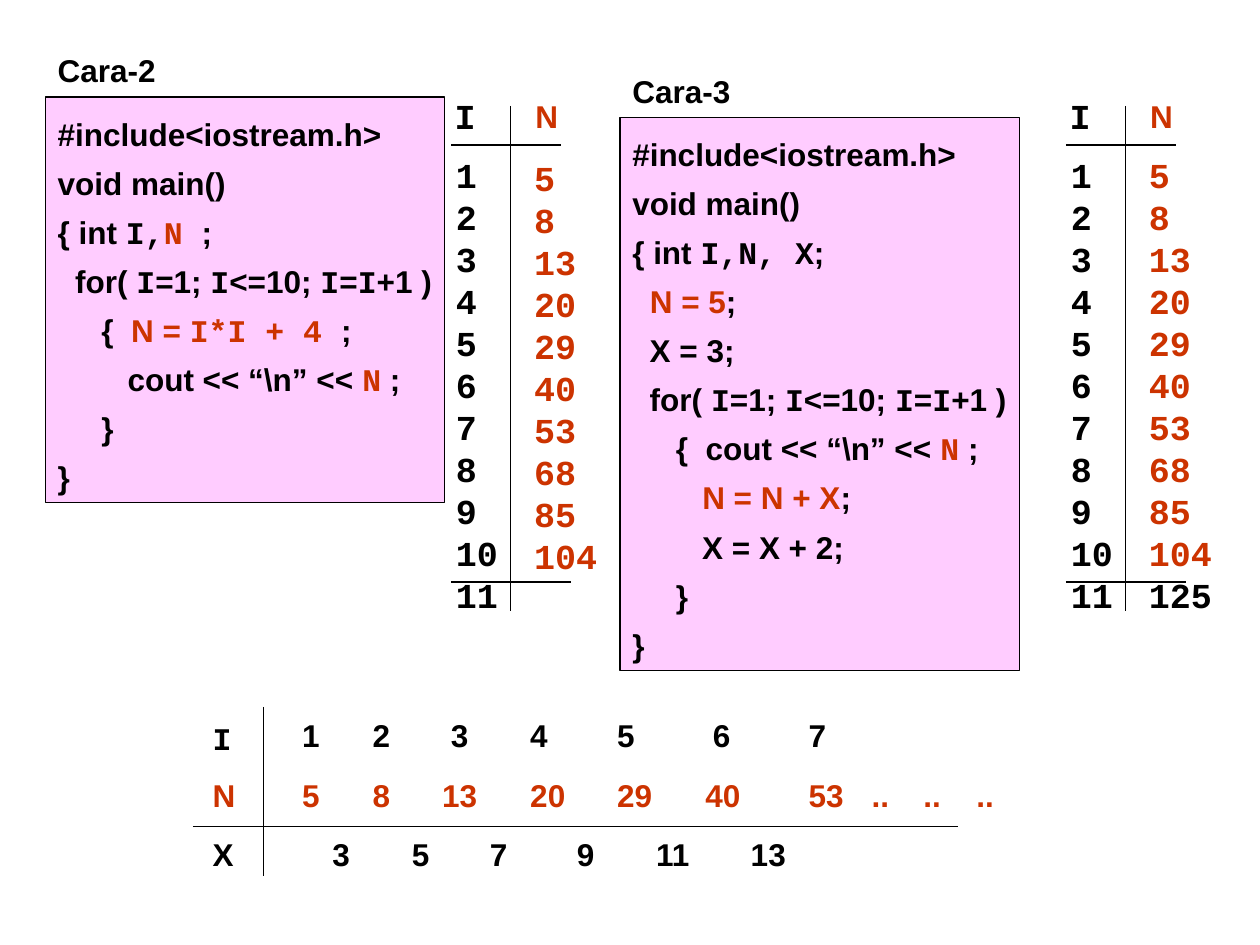
from lxml import etree
from pptx import Presentation
from pptx import util as u
from pptx.dml.color import RGBColor
from pptx.enum import shapes, text as t
from pptx.oxml.ns import qn

COLORS = {"ink": "000000", "red": "CC3300", "pink": "FFCCFF"}
ARIAL, MONO = "Arial", "Courier New"


def mono(words):
    return words, MONO, "ink"


def red(words, font=ARIAL):
    return words, font, "red"


LOOP = ["  for( ", mono("I"), "=1; ", mono("I"), "<=10; ", mono("I"), "=", mono("I"), "+1 )"]
OPENING = [["#include<iostream.h>"], ["void main()"]]
CLOSING = [["     }"], ["}"]]
PROGRAMS = [
    ("Cara-2", 0.36, 0.36, 0.77, 3.22, OPENING + [
        ["{ int ", mono("I,"), red("N ", MONO), ";"],
        LOOP,
        ["     {  ", red("N = "), red("I*I + 4 ", MONO), ";"],
        ["        cout << “\\n” << ", red("N", MONO), " ;"],
    ] + CLOSING),
    ("Cara-3", 4.92, 0.52, 0.93, 4.39, OPENING + [
        ["{ int ", mono("I,N, X"), ";"],
        ["  ", red("N = 5"), ";"],
        ["  X = 3;"],
        LOOP,
        ["     {  cout << “\\n” << ", red("N", MONO), " ;"],
        ["        ", red("N = N + X"), ";"],
        ["        X = X + 2;"],
    ] + CLOSING),
]

STEPS = [[str(i)] for i in range(1, 12)]
VALUES = [[str(i * i + 4)] for i in range(1, 11)]
TRACES = [
    (3.51, 1.19, 3.44, VALUES),
    (8.39, 1.17, 3.77, VALUES + [[("125", MONO, "ink")]]),
]

SEQUENCES = [
    ("I", MONO, "ink", 5.66, 2.3, 5.63, 4.6,
     ["1", "2", "3", "4", "5", "6", "7"],
     [0.56, 1.18, 1.81, 2.5, 3.26, 4.02]),
    ("N", ARIAL, "red", 6.11, 2.3, 6.11, 5.89,
     ["5", "8", "13", "20", "29", "40", "53", "..", "..", ".."],
     [0.56, 1.11, 1.81, 2.5, 3.2, 4.02, 4.52, 4.93, 5.35]),
    ("X", ARIAL, "ink", 6.58, 2.54, 6.58, 3.9,
     ["3", "5", "7", "9", "11", "13"],
     [0.63, 1.25, 1.94, 2.57, 3.32]),
]


def color(name):
    return RGBColor.from_string(COLORS[name])


def add_text(slide, lines, left, top, width, height, font=ARIAL, size=18,
             ink="ink", fill=None, spacing=None, tabs=(), wrap=False):
    place = [u.Inches(v) for v in (left, top, width, height)]
    if fill:
        box = slide.shapes.add_shape(shapes.MSO_SHAPE.RECTANGLE, *place)
        box.shadow.inherit = False
        box.fill.solid()
        box.fill.fore_color.rgb = color(fill)
        box.line.color.rgb = color("ink")
        box.line.width = u.Pt(0.75)
    else:
        box = slide.shapes.add_textbox(*place)
    frame = box.text_frame
    frame.word_wrap = wrap
    frame.vertical_anchor = t.MSO_ANCHOR.TOP
    for index, line in enumerate(lines):
        paragraph = frame.paragraphs[0] if index == 0 else frame.add_paragraph()
        paragraph.alignment = t.PP_ALIGN.LEFT
        if spacing:
            paragraph.line_spacing = spacing
        if tabs:
            stops = etree.SubElement(paragraph._p.get_or_add_pPr(), qn("a:tabLst"))
            for stop in tabs:
                etree.SubElement(stops, qn("a:tab"), pos=str(u.Inches(stop)), algn="l")
        for part in line:
            words, face, tint = (part, font, ink) if isinstance(part, str) else part
            run = paragraph.add_run()
            run.text = words
            run.font.name = face
            run.font.size = u.Pt(size)
            run.font.bold = True
            run.font.color.rgb = color(tint)


def add_rule(slide, x1, y1, x2, y2):
    rule = slide.shapes.add_connector(
        shapes.MSO_CONNECTOR.STRAIGHT, *[u.Inches(v) for v in (x1, y1, x2, y2)])
    rule.line.color.rgb = color("ink")
    rule.line.width = u.Pt(0.75)
    etree.SubElement(rule._element.spPr, qn("a:effectLst"))


def main():
    deck = Presentation()
    deck.slide_width, deck.slide_height = u.Inches(10), u.Inches(7.5)
    slide = deck.slides.add_slide(deck.slide_layouts[6])

    for heading, left, heading_top, top, height, code in PROGRAMS:
        add_text(slide, code, left, top, 3.17, height, fill="pink", spacing=1.3)
        add_text(slide, [[heading]], left, heading_top, 0.98, 0.4)

    for left, values_top, values_height, values in TRACES:
        add_rule(slide, left + 0.07, 1.15, left + 0.94, 1.15)
        add_rule(slide, left + 0.54, 0.84, left + 0.54, 4.85)
        add_rule(slide, left + 0.07, 4.62, left + 1.02, 4.62)
        add_text(slide, [["I"]], left, 0.7, 0.37, 0.44, font=MONO, size=20)
        add_text(slide, [["N"]], left + 0.64, 0.72, 0.38, 0.4, ink="red")
        add_text(slide, STEPS, left + 0.01, 1.17, 0.6, 3.77,
                 font=MONO, size=20, wrap=True)
        add_text(slide, values, left + 0.63, values_top, 0.75, values_height,
                 font=MONO, size=20, ink="red", wrap=True)

    for label, face, ink, label_top, left, top, width, terms, stops in SEQUENCES:
        add_text(slide, [[label]], 1.59, label_top, 0.37, 0.4, font=face, ink=ink)
        add_text(slide, [["\t".join(terms)]], left, top, width, 0.4,
                 ink=ink, tabs=stops, wrap=True)
    add_rule(slide, 1.53, 6.56, 7.6, 6.56)
    add_rule(slide, 2.09, 5.61, 2.09, 6.95)

    deck.save("out.pptx")


if __name__ == "__main__":
    main()
